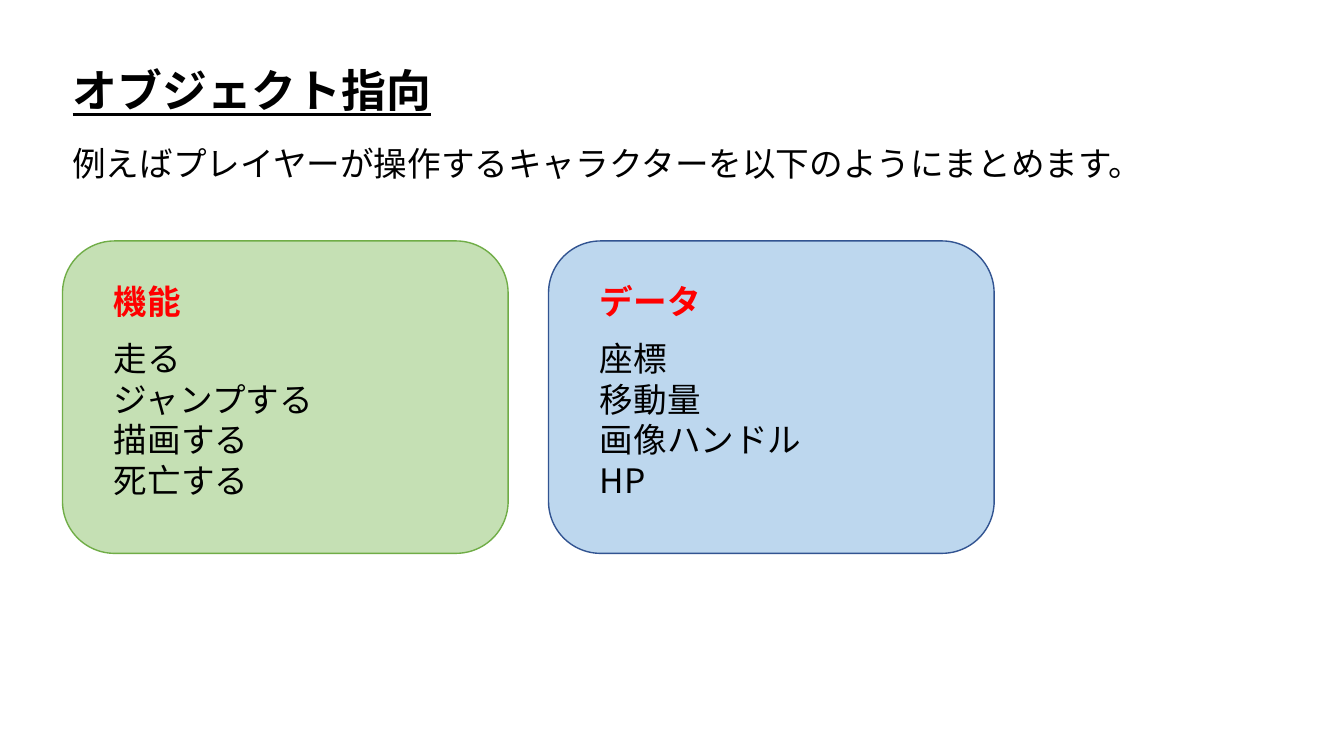
"""Build the slide that groups a game character into functions and data."""
import pptx
import pptx.dml.color
import pptx.enum.shapes
import pptx.enum.text
import pptx.oxml.ns
import pptx.util
from lxml import etree

RGBColor = pptx.dml.color.RGBColor
BLACK = RGBColor(0x00, 0x00, 0x00)
RED = RGBColor(0xFF, 0x00, 0x00)
GREEN_FILL = RGBColor(0xC5, 0xE0, 0xB4)
GREEN_LINE = RGBColor(0x70, 0xAD, 0x47)
BLUE_FILL = RGBColor(0xBD, 0xD7, 0xEE)
BLUE_LINE = RGBColor(0x32, 0x54, 0x91)
FONT = "Noto Sans CJK JP"
MARGIN, CARD_PITCH, TEXT_INDENT = 4.65, 36.16, 3.08

deck = pptx.Presentation()
deck.slide_width = pptx.util.Inches(13.33)
deck.slide_height = pptx.util.Inches(7.5)
page = deck.slides.add_slide(deck.slide_layouts.get_by_name("Comparison"))


def share(left, top, width, height):
    """Turn percentages of the slide into lengths."""
    across, down = deck.slide_width / 100, deck.slide_height / 100
    return round(left * across), round(top * down), round(width * across), round(height * down)


def write(box, area, lines, size=24, color=BLACK, bold=False, underline=False):
    """Place a box and fill it with one paragraph a line."""
    box.left, box.top, box.width, box.height = share(*area)
    frame = box.text_frame
    frame_format = {
        "text": "\n".join(lines),
        "word_wrap": False,
        "auto_size": pptx.enum.text.MSO_AUTO_SIZE.NONE,
        "vertical_anchor": pptx.enum.text.MSO_ANCHOR.TOP,
        "margin_left": pptx.util.Inches(0.1),
        "margin_right": pptx.util.Inches(0.1),
        "margin_top": pptx.util.Inches(0.08),
        "margin_bottom": 0,
    }
    for name, value in frame_format.items():
        setattr(frame, name, value)
    para_format = {
        "alignment": pptx.enum.text.PP_ALIGN.LEFT,
        "line_spacing": pptx.util.Pt(size * 1.21),
        "space_before": pptx.util.Pt(0),
        "space_after": pptx.util.Pt(0),
    }
    span_format = {"name": FONT, "size": pptx.util.Pt(size), "bold": bold, "underline": underline}
    for para in frame.paragraphs:
        properties = para._p.get_or_add_pPr()
        properties.set("marL", "0")
        properties.set("indent", "0")
        etree.SubElement(properties, pptx.oxml.ns.qn("a:buNone"))
        for name, value in para_format.items():
            setattr(para, name, value)
        for span in para.runs:
            for name, value in span_format.items():
                setattr(span.font, name, value)
            span.font.color.rgb = color
            east_asian = etree.SubElement(span._r.get_or_add_rPr(), pptx.oxml.ns.qn("a:ea"))
            east_asian.set("typeface", FONT)


write(page.shapes.title, (MARGIN, 7.2, 28.43, 8.53), ["オブジェクト指向"], size=32, bold=True, underline=True)

intro_area = (MARGIN, 17.73, 82.3, 6.67)
intro = page.shapes.add_textbox(*share(*intro_area))
write(intro, intro_area, ["例えばプレイヤーが操作するキャラクターを以下のようにまとめます。"])

cards = [
    ("機能", 6.6, ["走る", "ジャンプする", "描画する", "死亡する"], GREEN_FILL, GREEN_LINE),
    ("データ", 9.08, ["座標", "移動量", "画像ハンドル", "HP"], BLUE_FILL, BLUE_LINE),
]
for column, (heading, heading_width, items, fill, line) in enumerate(cards):
    left = MARGIN + column * CARD_PITCH
    card = page.shapes.add_shape(
        pptx.enum.shapes.MSO_SHAPE.ROUNDED_RECTANGLE, *share(left, 31.87, 33.16, 41.33))
    card.shadow.inherit = False
    card.fill.solid()
    card.fill.fore_color.rgb = fill
    card.line.color.rgb = line
    card.line.width = pptx.util.Pt(1)
    page.shapes._spTree.insert(2, card._element)

    text_left = left + TEXT_INDENT
    heading_box = page.placeholders[1 + 2 * column]
    list_box = page.placeholders[2 + 2 * column]
    write(heading_box, (text_left, 36, heading_width, 6.67), [heading], color=RED, bold=True)
    write(list_box, (text_left, 43.6, 16.65, 22.93), items)

deck.save("out.pptx")
